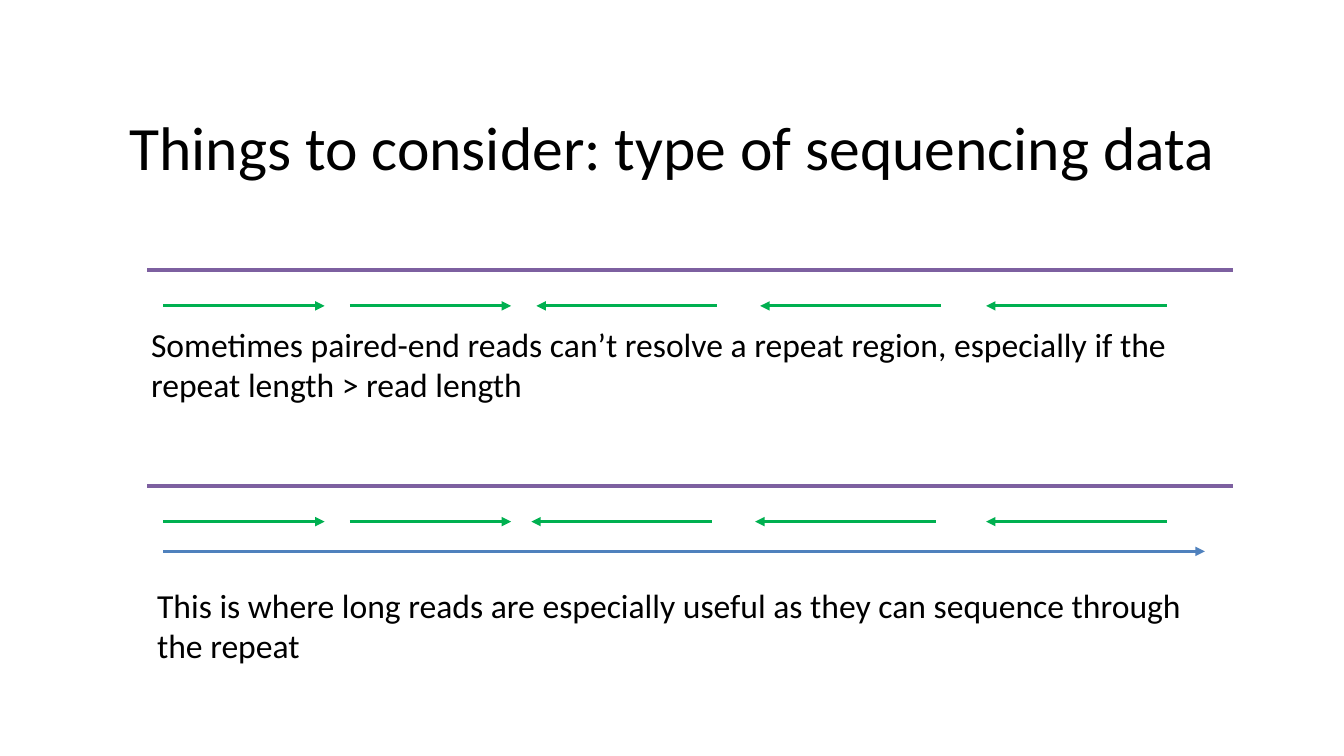
from pptx import Presentation
from pptx.dml.color import RGBColor
from pptx.enum.shapes import MSO_CONNECTOR
from pptx.enum.text import MSO_ANCHOR, PP_ALIGN
from pptx.oxml.ns import qn
from pptx.util import Inches, Pt
from lxml.etree import SubElement

COLORS = {"text": "000000", "genome": "7D60A0", "read": "00B050", "long": "4F81BD"}


class Board:
    """Holds the style and the current slide."""

    font = "Calibri"

    def __init__(self, slide):
        self.slide = slide

    def style(self, para, size):
        para.font.name = self.font
        para.font.size = Pt(size)
        para.font.color.rgb = RGBColor.from_string(COLORS["text"])

    def title(self, text, x, y, w, h):
        box = self.slide.shapes.title
        box.left, box.top, box.width, box.height = map(Inches, (x, y, w, h))
        frame = box.text_frame
        frame.text = text
        frame.word_wrap = True
        frame.vertical_anchor = MSO_ANCHOR.MIDDLE
        frame.paragraphs[0].alignment = PP_ALIGN.CENTER
        self.style(frame.paragraphs[0], 44)

    def note(self, text, x, y, w, h):
        box = self.slide.shapes.add_textbox(*map(Inches, (x, y, w, h)))
        frame = box.text_frame
        frame.word_wrap = True
        frame.text = text
        self.style(frame.paragraphs[0], 24)

    def line(self, start, end, y, color, width=2.25, arrow=True):
        link = self.slide.shapes.add_connector(
            MSO_CONNECTOR.STRAIGHT, *map(Inches, (start, y, end, y)))
        link.line.color.rgb = RGBColor.from_string(COLORS[color])
        link.line.width = Pt(width)
        if arrow:
            SubElement(link.line._get_or_add_ln(), qn("a:tailEnd"), type="triangle")
        SubElement(link._element.spPr, qn("a:effectLst"))

    def reads(self, y, tips):
        """Draw a genome with two forward reads and reverse reads at the tips."""
        self.line(1.46, 12.23, y, "genome", 3, arrow=False)
        for start in (1.62, 3.47):
            self.line(start, start + 1.6, y + 0.355, "read")
        for tip in tips:
            self.line(tip + 1.79, tip, y + 0.355, "read")


def main():
    deck = Presentation()
    deck.slide_width, deck.slide_height = Inches(13.33), Inches(7.5)
    board = Board(deck.slides.add_slide(deck.slide_layouts[5]))

    # Title
    board.title("Things to consider: type of sequencing data", 0.67, 0.82, 12, 1.25)

    # Paired-end reads
    board.reads(2.68, (5.32, 7.54, 9.78))
    board.note("Sometimes paired-end reads can’t resolve a repeat region, "
               "especially if the repeat length > read length", 1.4, 3.16, 10.77, 0.91)

    # Paired-end reads with one long read
    board.reads(4.82, (5.27, 7.49, 9.78))
    board.line(1.62, 11.95, 5.47, "long")
    board.note("This is where long reads are especially useful as they can "
               "sequence through the repeat", 1.46, 5.75, 10.77, 0.91)

    deck.save("out.pptx")


if __name__ == "__main__":
    main()
